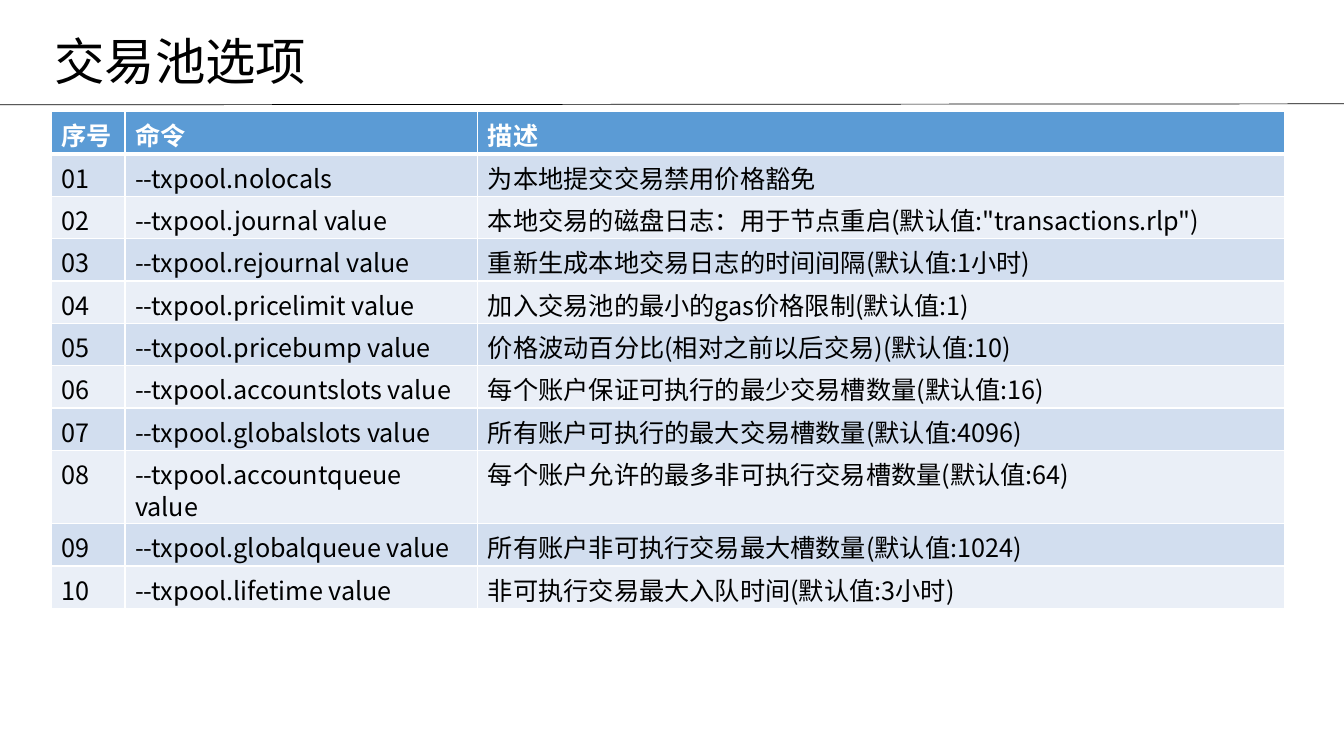
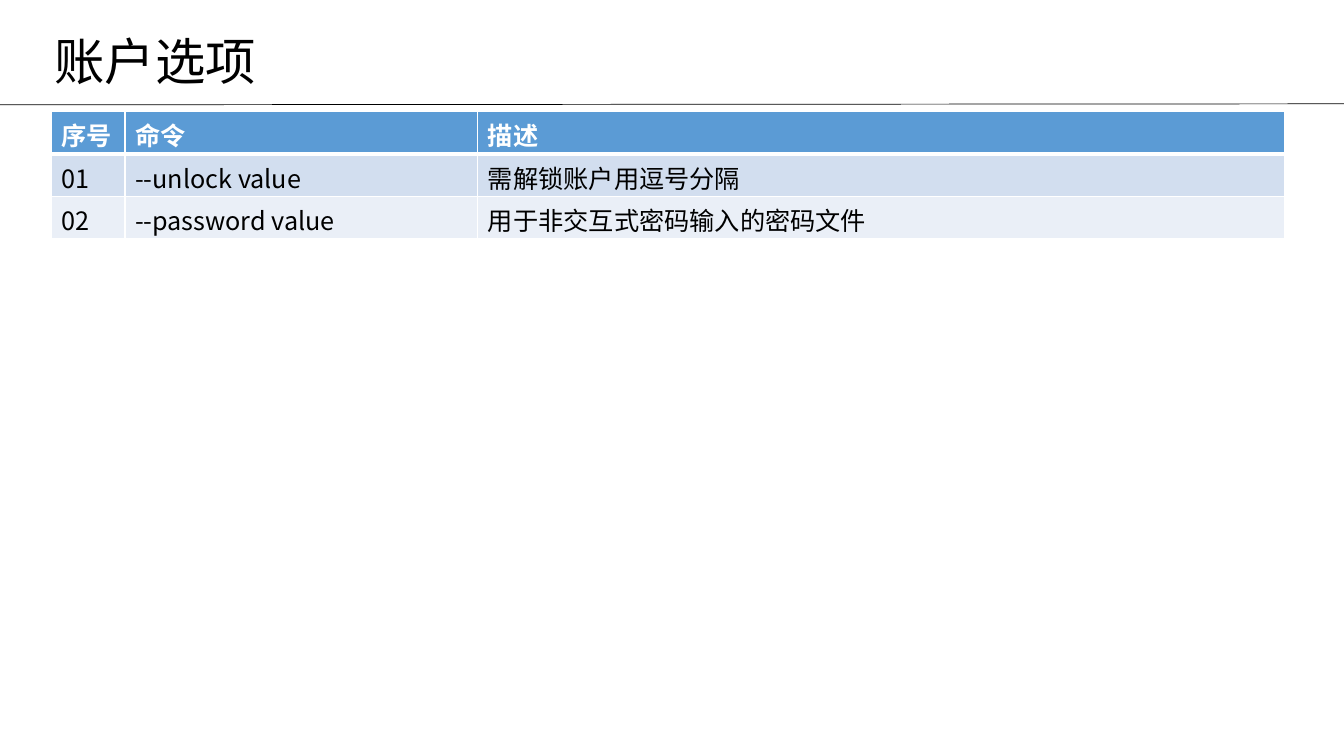
import pptx
import pptx.dml.color
import pptx.enum.shapes
import pptx.enum.text
import pptx.oxml.ns
import pptx.util
from lxml import etree

FONT = "Noto Sans CJK SC"
BLACK, WHITE = "000000", "FFFFFF"
HEADER_FILL = "5B9BD5"
BAND_FILLS = ["D2DEEF", "EAEFF7"]
COLUMN_WIDTHS = [0.73, 3.5, 8]
ROW_HEIGHT = 0.42
HEADINGS = ["序号", "命令", "描述"]

SECTIONS = {
    "交易池选项": [
        ("--txpool.nolocals", "为本地提交交易禁用价格豁免"),
        ("--txpool.journal value", '本地交易的磁盘日志：用于节点重启(默认值:"transactions.rlp")'),
        ("--txpool.rejournal value", "重新生成本地交易日志的时间间隔(默认值:1小时)"),
        ("--txpool.pricelimit value", "加入交易池的最小的gas价格限制(默认值:1)"),
        ("--txpool.pricebump value", "价格波动百分比(相对之前以后交易)(默认值:10)"),
        ("--txpool.accountslots value", "每个账户保证可执行的最少交易槽数量(默认值:16)"),
        ("--txpool.globalslots value", "所有账户可执行的最大交易槽数量(默认值:4096)"),
        ("--txpool.accountqueue value", "每个账户允许的最多非可执行交易槽数量(默认值:64)"),
        ("--txpool.globalqueue value", "所有账户非可执行交易最大槽数量(默认值:1024)"),
        ("--txpool.lifetime value", "非可执行交易最大入队时间(默认值:3小时)"),
    ],
    "账户选项": [
        ("--unlock value", "需解锁账户用逗号分隔"),
        ("--password value", "用于非交互式密码输入的密码文件"),
    ],
}

inch = pptx.util.Inches
qn = pptx.oxml.ns.qn


def paint(color_format, color):
    color_format.rgb = pptx.dml.color.RGBColor.from_string(color)


def write(frame, text, size, color, bold=False):
    run = frame.paragraphs[0].add_run()
    run.text = text
    style = {"name": FONT, "size": pptx.util.Pt(size), "bold": bold}
    for attribute, value in style.items():
        setattr(run.font, attribute, value)
    paint(run.font.color, color)
    etree.SubElement(run.font._element, qn("a:ea"), typeface=FONT)


deck = pptx.Presentation()
deck.slide_width, deck.slide_height = inch(13.33), inch(7.5)

for title, options in SECTIONS.items():
    slide = deck.slides.add_slide(deck.slide_layouts[6])

    rule = slide.shapes.add_connector(
        pptx.enum.shapes.MSO_CONNECTOR.STRAIGHT, 0, inch(1.04), deck.slide_width, inch(1.03))
    rule.line.width = pptx.util.Pt(0.5)
    paint(rule.line.color, BLACK)
    etree.SubElement(rule._element.spPr, qn("a:effectLst"))

    heading = slide.shapes.add_textbox(inch(0.44), inch(0.25), inch(6.1), inch(0.7)).text_frame
    heading.word_wrap = True
    heading.vertical_anchor = pptx.enum.text.MSO_ANCHOR.MIDDLE
    write(heading, title, 36, BLACK)

    rows = [HEADINGS] + [(f"{number:02d}", *option) for number, option in enumerate(options, 1)]
    table = slide.shapes.add_table(
        len(rows), len(HEADINGS), inch(0.51), inch(1.11),
        inch(sum(COLUMN_WIDTHS)), inch(ROW_HEIGHT * len(rows))).table
    for column, width in zip(table.columns, COLUMN_WIDTHS):
        column.width = inch(width)

    for row_index, texts in enumerate(rows):
        is_header = row_index == 0
        table.rows[row_index].height = inch(ROW_HEIGHT)
        for column_index, text in enumerate(texts):
            cell = table.cell(row_index, column_index)
            cell.margin_top, cell.margin_bottom = inch(0.09), 0
            write(cell.text_frame, text, 18, WHITE if is_header else BLACK, is_header)
            cell.text_frame.paragraphs[0].line_spacing = pptx.util.Pt(23)
            properties = cell._tc.get_or_add_tcPr()
            for side in "LRTB":
                thick = (is_header and side == "B") or (row_index == 1 and side == "T")
                border = etree.SubElement(
                    properties, qn(f"a:ln{side}"), w=str(pptx.util.Pt(3 if thick else 1)))
                stroke = etree.SubElement(border, qn("a:solidFill"))
                etree.SubElement(stroke, qn("a:srgbClr"), val=WHITE)
            cell.fill.solid()
            paint(cell.fill.fore_color, HEADER_FILL if is_header else BAND_FILLS[(row_index - 1) % 2])

deck.save("out.pptx")
